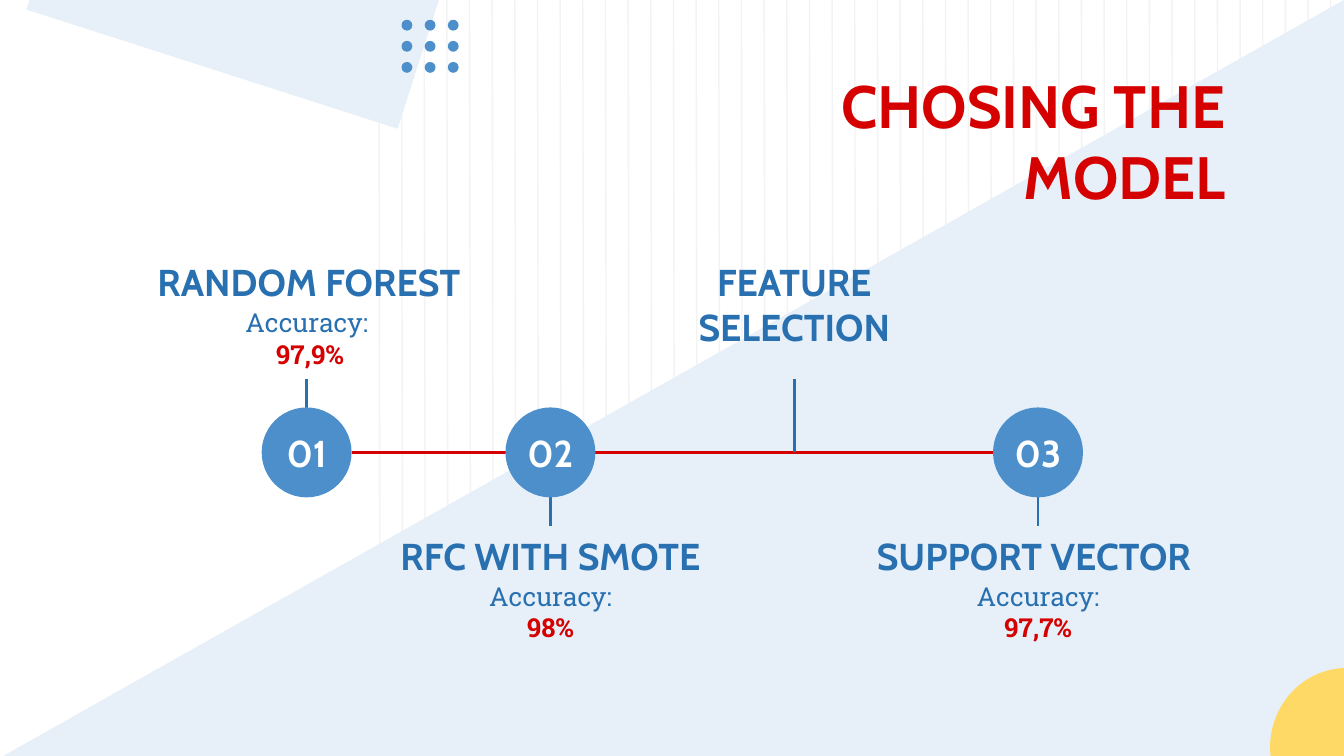
import lxml.etree
import pptx
import pptx.dml.color
import pptx.enum.shapes
import pptx.enum.text
import pptx.oxml.ns
import pptx.util

Pt = pptx.util.Pt
Color = pptx.dml.color.RGBColor
Shape = pptx.enum.shapes.MSO_SHAPE
Align = pptx.enum.text.PP_ALIGN
Anchor = pptx.enum.text.MSO_ANCHOR

WHITE = Color(0xFF, 0xFF, 0xFF)
STRIPE = Color(0xF3, 0xF3, 0xF3)
PALE = Color(0xE7, 0xF0, 0xF8)
SKY = Color(0x4D, 0x8F, 0xCB)
BLUE = Color(0x29, 0x70, 0xB1)
RED = Color(0xD5, 0x00, 0x00)
YELLOW = Color(0xFF, 0xD9, 0x66)

TITLE = {"name": "Cabin", "size": Pt(32), "bold": True, "color": RED}
HEADING = {"name": "Cabin", "size": Pt(20), "bold": True, "color": BLUE}
NUMBER = {**HEADING, "color": WHITE}
LABEL = {"name": "Roboto Slab", "size": Pt(14), "bold": False, "color": BLUE}
VALUE = {**LABEL, "bold": True, "color": RED}

STEPS = [
    {"number": "01", "heading": "RANDOM FOREST", "value": " 97,9%",
     "width": 197, "shift": 1.2, "above": True},
    {"number": "02", "heading": "RFC WITH SMOTE", "value": "98%",
     "width": 185, "shift": 0, "above": False},
    {"number": None, "heading": "FEATURE SELECTION", "value": None,
     "width": 176, "shift": 0, "above": True},
    {"number": "03", "heading": "SUPPORT VECTOR", "value": "97,7%",
     "width": 192, "shift": -2.2, "above": False},
]


def add_line(page, start, end, color, width):
    """Draw a straight line without a shadow."""
    line = page.shapes.add_connector(
        pptx.enum.shapes.MSO_CONNECTOR.STRAIGHT, *map(Pt, start + end))
    line.line.color.rgb = color
    line.line.width = Pt(width)
    properties = line.element.spPr
    lxml.etree.SubElement(properties, pptx.oxml.ns.qn("a:effectLst"))


def add_filled(page, kind, box, color):
    """Draw a preset shape with a plain fill and no outline."""
    shape = page.shapes.add_shape(kind, *map(Pt, box))
    shape.shadow.inherit = False
    shape.fill.solid()
    shape.fill.fore_color.rgb = color
    shape.line.fill.background()
    return shape


def fill_text(shape, lines, align, anchor, inset=7.2):
    """Write (text, format) lines into a shape, one paragraph each."""
    frame = shape.text_frame
    settings = {"word_wrap": True, "vertical_anchor": anchor,
                "auto_size": pptx.enum.text.MSO_AUTO_SIZE.NONE}
    for side in ("left", "top", "right", "bottom"):
        settings["margin_" + side] = Pt(inset)
    for name, value in settings.items():
        setattr(frame, name, value)
    for index, (text, style) in enumerate(lines):
        para = frame.add_paragraph() if index else frame.paragraphs[0]
        para.text = text
        para.alignment = align
        for span in para.runs:
            for name, value in style.items():
                if name == "color":
                    span.font.color.rgb = value
                else:
                    setattr(span.font, name, value)


def add_text(page, box, lines):
    """Add a centred text box."""
    fill_text(page.shapes.add_textbox(*map(Pt, box)), lines, Align.CENTER, Anchor.TOP)


def draw_stripes(page, box, count=59):
    """Spread thin, slightly leaning stripes over the box."""
    left, top, width, height = box
    for index in range(count):
        x = left + width * index / (count - 1)
        add_line(page, (x, top), (x + 0.7, top + height), STRIPE, 0.75)


def draw_dots(page, box, count=3, size=5.8):
    """Draw a square grid of dots filling the box."""
    left, top, width, height = box
    for row in range(count):
        for column in range(count):
            x = left + column * (width - size) / (count - 1)
            y = top + row * (height - size) / (count - 1)
            add_filled(page, Shape.OVAL, (x, y, size, size), SKY)


def draw_background(page, box):
    """Draw the decoration behind the content."""
    left, top, width, height = box
    draw_stripes(page, (left + 8.7, top - 2.9, 704.2, height + 6))
    add_filled(page, Shape.RECTANGLE, (left, top - 2.9, 196, height), WHITE)
    triangle = add_filled(page, Shape.RIGHT_TRIANGLE,
                          (left - 0.7, top - 8.6, width + 16, height + 10), PALE)
    triangle.element.spPr.xfrm.set("flipH", "1")
    corner = add_filled(page, Shape.RECTANGLE, (left + 20.9, top - 37.4, 208.8, 76.3), PALE)
    corner.rotation = 17.8
    draw_dots(page, (left + 215.1, top + 10.6, 30.6, 28.4))
    add_filled(page, Shape.OVAL,
               (left + width - 39.6, top + height - 47.2, 82.8, 85), YELLOW)


def draw_title(page, box):
    """Place the title placeholder in the box, in front of all other shapes."""
    title = page.shapes.title
    title.element.getparent().append(title.element)
    title.left, title.top, title.width, title.height = map(Pt, box)
    fill_text(title, [("CHOSING THE\vMODEL", TITLE)], Align.RIGHT, Anchor.TOP)


def draw_step(page, step, center, axis, size):
    """Draw one stop of the timeline with its stem and texts."""
    direction = -1 if step["above"] else 1
    stem_start = axis + direction * 16.8 if step["number"] else axis
    add_line(page, (center, stem_start), (center, axis + direction * 39.2), BLUE, 1.5)
    if step["number"]:
        circle = add_filled(page, Shape.OVAL,
                            (center - size / 2, axis - size / 2, size, size), SKY)
        fill_text(circle, [(step["number"], NUMBER)], Align.CENTER, Anchor.MIDDLE, 0)
    top = axis - 110.5 if step["above"] else axis + 36.2
    width = step["width"]
    height = 32 if step["value"] else 62
    add_text(page, (center - width / 2 + step["shift"], top, width, height),
             [(step["heading"], HEADING)])
    if step["value"]:
        add_text(page, (center - 81, top + 25.2, 162, 45),
                 [("Accuracy:", LABEL), (step["value"], VALUE)])


def draw_timeline(page, box, size=48.2):
    """Draw the axis across the box and spread the steps evenly on it."""
    left, top, width, height = box
    axis = top + height / 2
    pitch = (width - size) / (len(STEPS) - 1)
    add_line(page, (left + size, axis), (left + width - size, axis), RED, 1.5)
    for index, step in enumerate(STEPS):
        draw_step(page, step, left + size / 2 + index * pitch, axis, size)


def main():
    """Build and save the deck."""
    deck = pptx.Presentation()
    deck.slide_width, deck.slide_height = Pt(720), Pt(405)
    page = deck.slides.add_slide(deck.slide_layouts[5])
    draw_background(page, (0, 0, 720, 405))
    draw_timeline(page, (140.2, 218.3, 440, 48.2))
    draw_title(page, (77.8, 29.5, 586, 43.2))
    deck.save("out.pptx")


if __name__ == "__main__":
    main()
